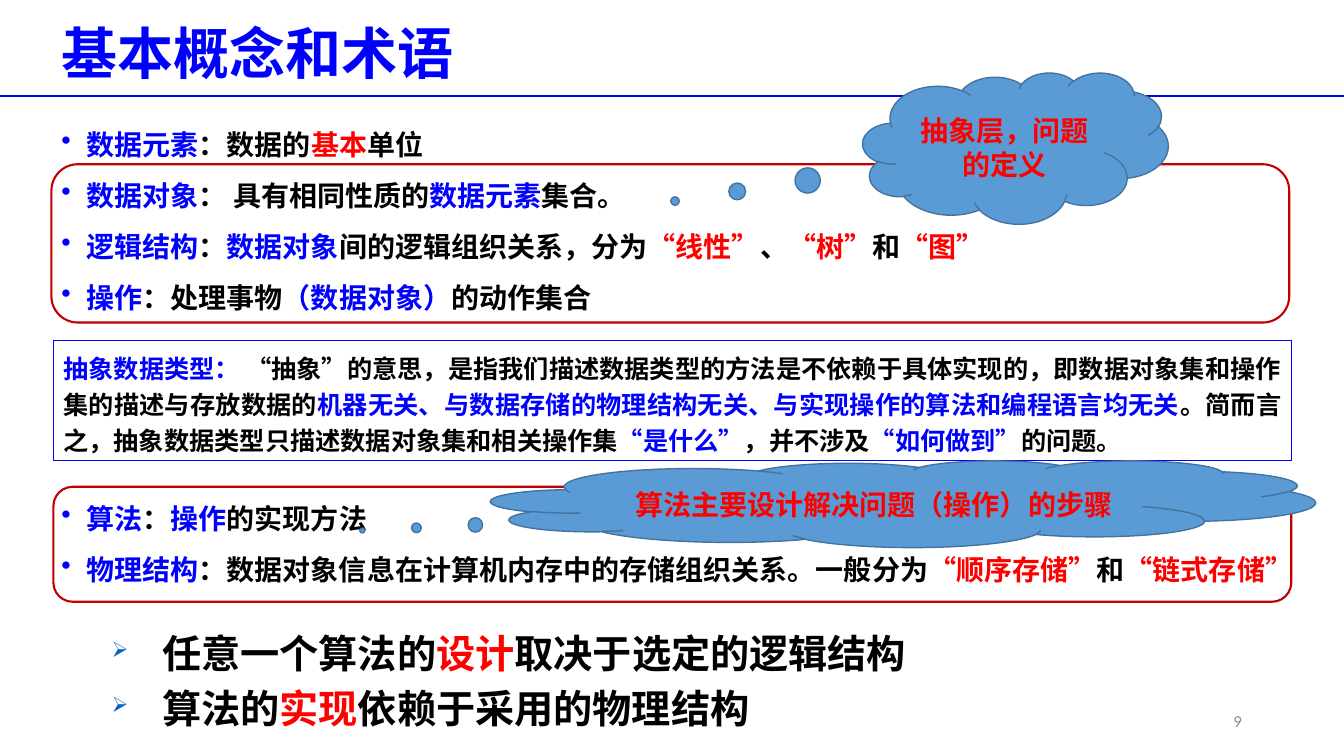
from dataclasses import dataclass
from typing import NamedTuple

from lxml.etree import SubElement
from pptx import Presentation
from pptx.dml.color import RGBColor
from pptx.enum.shapes import MSO_CONNECTOR, MSO_SHAPE
from pptx.enum.text import MSO_ANCHOR, PP_ALIGN
from pptx.oxml.ns import qn
from pptx.util import Emu, Inches, Pt

COLUMNS, ROWS = 160, 90
WIDTH, HEIGHT = Inches(13.33), Inches(7.5)


@dataclass(frozen=True)
class Theme:
    blue: str = "0000FF"
    red: str = "FF0000"
    black: str = "000000"
    frame: str = "C00000"
    cloud: str = "5B9BD5"
    cloud_edge: str = "43739E"
    arrow: str = "0563C1"
    grey: str = "8C8C8C"
    font: str = "Noto Sans CJK SC"
    number_font: str = "Calibri"
    title: int = 40
    point: int = 28
    body: int = 20
    note: int = 18
    number: int = 12


THEME = Theme()


class Area(NamedTuple):
    """Left, top, width and height in grid columns and rows."""
    left: float
    top: float
    width: float
    height: float

    def lengths(self) -> list[Emu]:
        cells = (WIDTH / COLUMNS, HEIGHT / ROWS) * 2
        return [Emu(round(count * cell)) for count, cell in zip(self, cells)]


class Span(NamedTuple):
    text: str
    color: str = THEME.black


class Bullet(NamedTuple):
    mark: str
    color: str
    percent: int
    margin: float
    hang: float


@dataclass(frozen=True)
class Style:
    size: int
    line: float  # line height in points
    before: float = 0
    align: PP_ALIGN = PP_ALIGN.LEFT
    anchor: MSO_ANCHOR = MSO_ANCHOR.TOP
    inset: float = 0.07
    font: str = THEME.font
    bold: bool = True
    bullet: Bullet | None = None


@dataclass(frozen=True)
class Panel:
    kind: MSO_SHAPE
    area: Area
    edge: str
    edge_width: float
    fill: str | None = None
    tail: tuple[float, ...] = ()
    style: Style | None = None
    paras: tuple[tuple[Span, ...], ...] = ()


@dataclass(frozen=True)
class Block:
    area: Area
    style: Style
    paras: tuple[tuple[Span, ...], ...]


def blue(text: str) -> Span:
    return Span(text, THEME.blue)


def red(text: str) -> Span:
    return Span(text, THEME.red)


TITLE = Style(THEME.title, 48, anchor=MSO_ANCHOR.MIDDLE, inset=0.05)
TERMS = Style(THEME.body, 26.4, 10, bullet=Bullet("•", THEME.blue, 100, 0.25, 0.25))
NOTE = Style(THEME.note, 25.7, align=PP_ALIGN.JUSTIFY)
POINTS = Style(THEME.point, 33.7, 5.6, bullet=Bullet("➢", THEME.arrow, 55, 1, 0.5))
CLOUD = Style(THEME.body, 24, align=PP_ALIGN.CENTER, anchor=MSO_ANCHOR.MIDDLE, inset=0.1)
NUMBER = Style(THEME.number, 14.4, align=PP_ALIGN.RIGHT, anchor=MSO_ANCHOR.MIDDLE,
               inset=0.05, font=THEME.number_font, bold=False)

BLOCKS = (
    Block(Area(6.12, 0.12, 138, 12.24), TITLE, ((blue("基本概念和术语"),),)),
    Block(Area(6.12, 13.92, 149.28, 25), TERMS, (
        (blue("数据元素"), Span("：数据的"), red("基本"), Span("单位")),
        (blue("数据对象"), Span("： 具有相同性质的"), blue("数据元素"), Span("集合。")),
        (blue("逻辑结构"), Span("："), blue("数据对象"), Span("间的逻辑组织关系，分为"),
         red("“线性”"), Span("、"), red("“树”"), Span("和"), red("“图”")),
        (blue("操作"), Span("：处理事物"), blue("（数据对象）"), Span("的动作集合")),
    )),
    Block(Area(6.12, 58.44, 149.28, 13), TERMS, (
        (blue("算法"), Span("："), blue("操作"), Span("的实现方法")),
        (blue("物理结构"), Span("：数据对象信息在计算机内存中的存储组织关系。一般分为"),
         red("“顺序存储”"), Span("和"), red("“链式存储”")),
    )),
    Block(Area(6.12, 74.04, 138, 13.68), POINTS, (
        (Span("任意一个算法的"), red("设计"), Span("取决于选定的逻辑结构")),
        (Span("算法的"), red("实现"), Span("依赖于采用的物理结构")),
    )),
    Block(Area(113.04, 83.4, 36, 4.8), NUMBER, ((Span("9", THEME.grey),),)),
)

PANELS = (
    Panel(MSO_SHAPE.ROUNDED_RECTANGLE, Area(6.12, 19.56, 147.36, 18.84), THEME.frame, 1.5),
    Panel(MSO_SHAPE.RECTANGLE, Area(6.36, 40.56, 147.36, 14.28), THEME.blue, 0.75,
          style=NOTE, paras=((
              blue("抽象数据类型： "),
              Span("“抽象”的意思，是指我们描述数据类型的方法是不依赖于具体实现的，"
                   "即数据对象集和操作集的描述与存放数据的"),
              blue("机器无关、与数据存储的物理结构无关、与实现操作的算法和编程语言均无关"),
              Span("。简而言之，抽象数据类型只描述数据对象集和相关操作集"),
              blue("“是什么”"), Span("，并不涉及"), blue("“如何做到”"), Span("的问题。")),)),
    Panel(MSO_SHAPE.ROUNDED_RECTANGLE, Area(6.36, 57.96, 147.36, 13.68), THEME.frame, 1.5),
    Panel(MSO_SHAPE.CLOUD_CALLOUT, Area(102.72, 8.64, 36.36, 18), THEME.cloud_edge, 1,
          THEME.cloud, (-1.115, 0.35), CLOUD, ((red("抽象层，问题的定义"),),)),
    Panel(MSO_SHAPE.CLOUD_CALLOUT, Area(58.44, 54.84, 98.16, 10.32), THEME.cloud_edge, 1,
          THEME.cloud, (-0.656, 0.306), CLOUD, ((red("算法主要设计解决问题（操作）的步骤"),),)),
)


def apply(target, formats: dict) -> None:
    for name, value in formats.items():
        setattr(target, name, value)


def add_bullet(para, bullet: Bullet) -> None:
    props = para._p.get_or_add_pPr()
    props.set("marL", str(Inches(bullet.margin)))
    props.set("indent", str(-Inches(bullet.hang)))
    color = SubElement(props, qn("a:buClr"))
    SubElement(color, qn("a:srgbClr"), val=bullet.color)
    SubElement(props, qn("a:buSzPct"), val=str(bullet.percent * 1000))
    SubElement(props, qn("a:buChar"), char=bullet.mark)


def write(frame, style: Style, paras: tuple[tuple[Span, ...], ...]) -> None:
    apply(frame, {"word_wrap": True, "vertical_anchor": style.anchor,
                  "margin_top": Inches(style.inset), "margin_bottom": Inches(0.05)})
    for index, spans in enumerate(paras):
        para = frame.add_paragraph() if index else frame.paragraphs[0]
        apply(para, {"alignment": style.align, "line_spacing": Pt(style.line),
                     "space_before": Pt(style.before)})
        if style.bullet:
            add_bullet(para, style.bullet)
        for span in spans:
            run = para.add_run()
            run.text = span.text
            run.font.color.rgb = RGBColor.from_string(span.color)
            apply(run.font, {"size": Pt(style.size), "bold": style.bold, "name": style.font})
            props = run._r.get_or_add_rPr()
            props.set("lang", "zh-CN")
            SubElement(props, qn("a:ea"), typeface=style.font)


def draw_block(page, block: Block) -> None:
    box = page.shapes.add_textbox(*block.area.lengths())
    write(box.text_frame, block.style, block.paras)


def draw_panel(page, panel: Panel) -> None:
    shape = page.shapes.add_shape(panel.kind, *panel.area.lengths())
    shape.shadow.inherit = False
    for index, value in enumerate(panel.tail):
        shape.adjustments[index] = value
    if panel.fill:
        shape.fill.solid()
        shape.fill.fore_color.rgb = RGBColor.from_string(panel.fill)
    else:
        shape.fill.background()
    shape.line.color.rgb = RGBColor.from_string(panel.edge)
    shape.line.width = Pt(panel.edge_width)
    if panel.style:
        write(shape.text_frame, panel.style, panel.paras)


def draw_header_rule(page) -> None:
    left, top, width, _ = Area(0, 11.4, COLUMNS, 0).lengths()
    rule = page.shapes.add_connector(MSO_CONNECTOR.STRAIGHT, left, top, left + width, top)
    rule.line.color.rgb = RGBColor.from_string(THEME.blue)
    rule.line.width = Pt(1.25)
    SubElement(rule._element.spPr, qn("a:effectLst"))


def main() -> None:
    deck = Presentation()
    apply(deck, {"slide_width": WIDTH, "slide_height": HEIGHT})
    page = deck.slides.add_slide(deck.slide_layouts[6])
    # Header rule, then text, then frames and clouds on top
    draw_header_rule(page)
    for block in BLOCKS:
        draw_block(page, block)
    for panel in PANELS:
        draw_panel(page, panel)
    deck.save("out.pptx")


if __name__ == "__main__":
    main()
